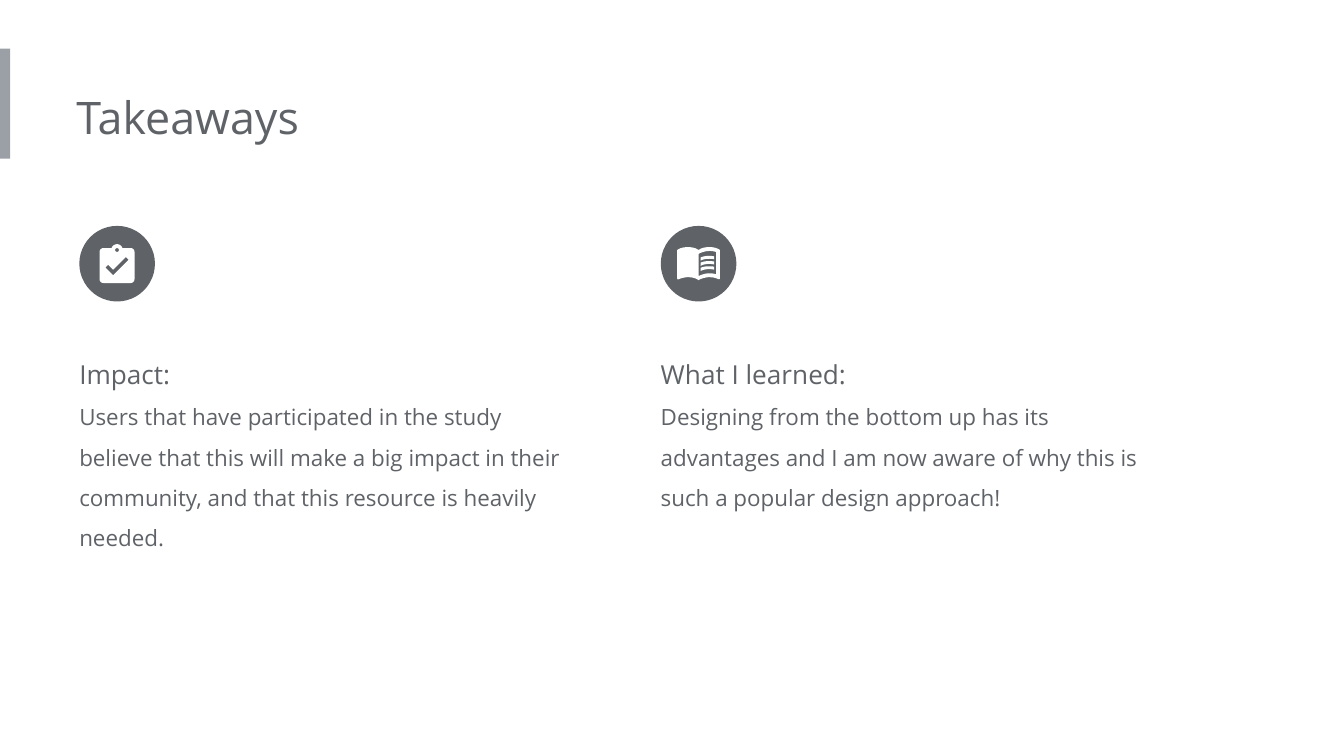
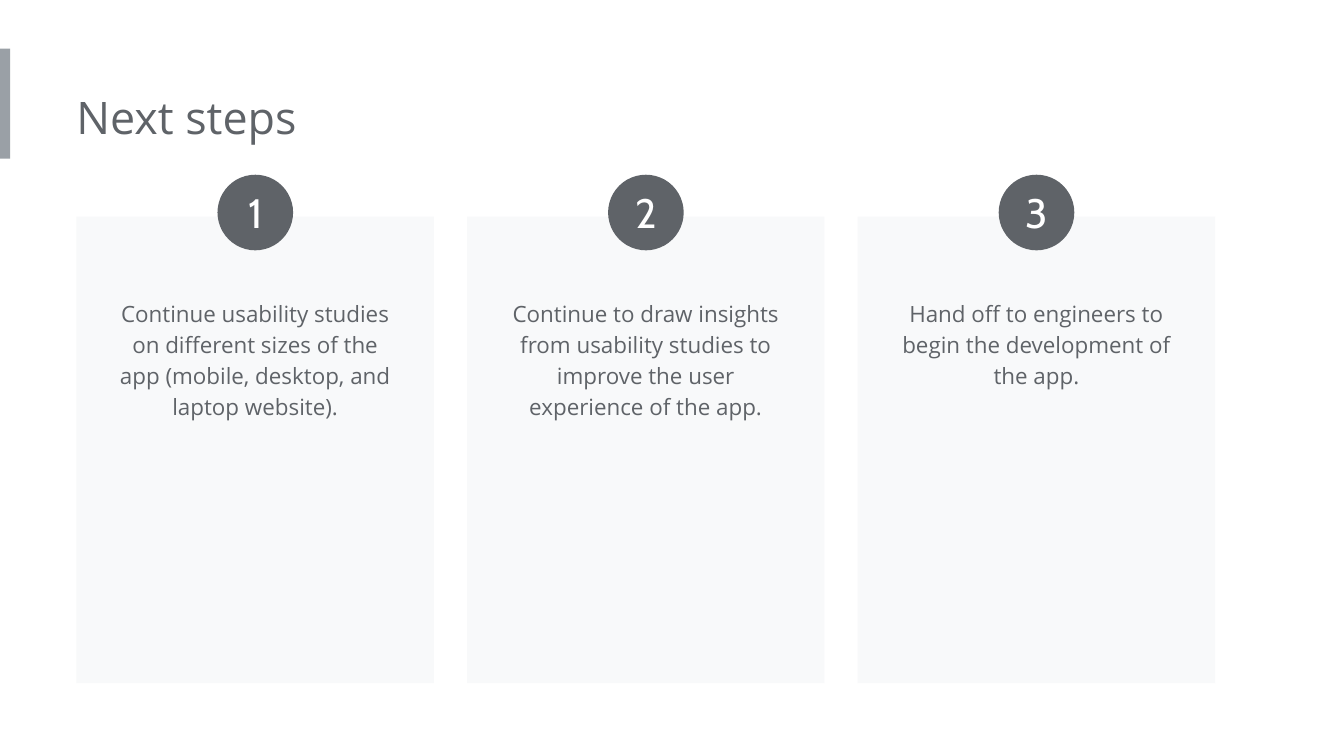
"""Build the takeaways and next steps slides."""
import collections
import dataclasses

import pptx
import pptx.dml.color
import pptx.enum.shapes
import pptx.enum.text
import pptx.util

Pt = pptx.util.Pt
SHAPES = pptx.enum.shapes.MSO_SHAPE
ALIGN = pptx.enum.text.PP_ALIGN
Box = collections.namedtuple("Box", "left top width height")


@dataclasses.dataclass(frozen=True)
class Theme:
    """Hold the colours, fonts and sizes of the deck."""
    ink: str = "5F6368"
    accent: str = "9AA0A6"
    panel: str = "F8F9FA"
    white: str = "FFFFFF"
    text_font: str = "Open Sans"
    number_font: str = "Cabin"
    title_size: float = 24
    number_size: float = 22
    heading_size: float = 14
    body_size: float = 12
    inset: float = 7.2
    disc: float = 40.5
    icon_unit: float = 1.04


THEME = Theme()
PAGE = Box(0, 0, 720, 405)
ACCENT = Box(0, 26, 5.5, 59)
TITLE = Box(41, 41, 388, 44)
COLUMNS = Box(42.5, 121, 583, 190)
COLUMN_WIDTH = 271.5
CARDS = Box(41, 116, 610, 250)
CARD_WIDTH = 191.5

TAKEAWAYS = [
    ("clipboard", "Impact:",
     "Users that have participated in the study believe that this will make a big "
     "impact in their community, and that this resource is heavily needed."),
    ("book", "What I learned:",
     "Designing from the bottom up has its advantages and I am now aware of why "
     "this is such a popular design approach!"),
]
STEPS = [
    "Continue usability studies on different sizes of the app (mobile, desktop, "
    "and laptop website).",
    "Continue to draw insights from usability studies to improve the user "
    "experience of the app.",
    "Hand off to engineers to begin the development of the app.",
]

CLIPBOARD = [
    [(19, 3), (14.82, 3), (14.4, 1.84, 13.3, 1, 12, 1),
     (10.7, 1, 9.6, 1.84, 9.18, 3), (5, 3), (3.9, 3, 3, 3.9, 3, 5), (3, 19),
     (3, 20.1, 3.9, 21, 5, 21), (19, 21), (20.1, 21, 21, 20.1, 21, 19),
     (21, 5), (21, 3.9, 20.1, 3, 19, 3)],
    [(12, 3), (12.55, 3, 13, 3.45, 13, 4), (13, 4.55, 12.55, 5, 12, 5),
     (11.45, 5, 11, 4.55, 11, 4), (11, 3.45, 11.45, 3, 12, 3)],
    [(10, 17), (6, 13), (7.41, 11.59), (10, 14.17), (16.59, 7.58), (18, 9)],
]
BOOK = [
    [(21, 5), (19.89, 4.65, 18.67, 4.5, 17.5, 4.5),
     (15.55, 4.5, 13.45, 4.9, 12, 6), (10.55, 4.9, 8.45, 4.5, 6.5, 4.5),
     (4.55, 4.5, 2.45, 4.9, 1, 6), (1, 20.65),
     (1, 20.9, 1.25, 21.15, 1.5, 21.15), (3.1, 20.45, 5.05, 20, 6.5, 20),
     (8.45, 20, 10.55, 20.4, 12, 21.5), (13.35, 20.65, 15.8, 20, 17.5, 20),
     (19.15, 20, 20.85, 20.3, 22.25, 21.05), (22.75, 21.1, 23, 20.85, 23, 20.6),
     (23, 6), (22.4, 5.55, 21.75, 5.25, 21, 5)],
    [(21, 18.5), (19.9, 18.15, 18.7, 18, 17.5, 18),
     (15.8, 18, 13.35, 18.65, 12, 19.5), (12, 8),
     (13.35, 7.15, 15.8, 6.5, 17.5, 6.5), (18.7, 6.5, 19.9, 6.65, 21, 7)],
]
BOOK_LINE = [
    (17.5, 10.5), (18.38, 10.5, 19.23, 10.59, 20, 10.76), (20, 9.24),
    (19.21, 9.09, 18.36, 9, 17.5, 9), (15.8, 9, 14.26, 9.29, 13, 9.83),
    (13, 11.49), (14.13, 10.85, 15.7, 10.5, 17.5, 10.5)]
BOOK_LINE_STEP = 2.67
ICONS = {
    "clipboard": ([CLIPBOARD], 11),
    "book": ([BOOK] + [[[tuple(value + row * BOOK_LINE_STEP * (place % 2)
                               for place, value in enumerate(node))
                         for node in BOOK_LINE]] for row in range(3)], 13),
}


def color(value):
    """Turn a hex value into a colour."""
    return pptx.dml.color.RGBColor.from_string(value)


def apply(target, formats):
    """Set every attribute named in formats."""
    for name, value in formats.items():
        setattr(target, name, value)


def paint(shape, fill):
    """Give a shape a plain fill without line or shadow."""
    shape.fill.solid()
    shape.fill.fore_color.rgb = color(fill)
    shape.line.fill.background()
    shape.shadow.inherit = False


def add_block(page, kind, box, fill):
    """Draw a filled preset shape in the box."""
    shape = page.shapes.add_shape(kind, *map(Pt, box))
    paint(shape, fill)
    return shape


def write_para(para, text, size, font=THEME.text_font, ink=THEME.ink, **formats):
    """Write one run of styled text in a paragraph."""
    apply(para, formats)
    span = para.add_run()
    span.text = text
    apply(span.font, {"name": font, "size": Pt(size)})
    span.font.color.rgb = color(ink)


def add_text(page, box, lines, left_inset=0, **formats):
    """Place a text box holding (text, size) lines."""
    frame = page.shapes.add_textbox(*map(Pt, box)).text_frame
    inset = Pt(THEME.inset)
    apply(frame, {"word_wrap": True, "margin_left": Pt(left_inset),
                  "margin_top": inset, "margin_right": inset, "margin_bottom": inset,
                  "auto_size": pptx.enum.text.MSO_AUTO_SIZE.SHAPE_TO_FIT_TEXT})
    for index, (text, size) in enumerate(lines):
        para = frame.add_paragraph() if index else frame.paragraphs[0]
        write_para(para, text, size, **formats)


def trace(nodes, steps=6):
    """Turn line and cubic curve nodes into points in hundredths."""
    points = [nodes[0]]
    for node in nodes[1:]:
        if len(node) == 2:
            points.append(node)
            continue
        corners = [points[-1], node[:2], node[2:4], node[4:]]
        for step in range(1, steps + 1):
            t = step / steps
            weights = ((1 - t) ** 3, 3 * t * (1 - t) ** 2, 3 * t * t * (1 - t), t ** 3)
            points.append(tuple(sum(weight * corner[axis]
                                    for weight, corner in zip(weights, corners))
                                for axis in (0, 1)))
    return [(x * 100, y * 100) for x, y in points]


def add_icon(page, box, name):
    """Draw a white icon centred on a dark disc."""
    add_block(page, SHAPES.OVAL, box, THEME.ink)
    parts, middle = ICONS[name]
    left = box.left + box.width / 2 - 12 * THEME.icon_unit
    top = box.top + box.height / 2 - middle * THEME.icon_unit
    for outlines in parts:
        contours = [trace(nodes) for nodes in outlines]
        builder = page.shapes.build_freeform(
            *contours[0][0], scale=Pt(THEME.icon_unit) / 100)
        for index, points in enumerate(contours):
            if index:
                builder.move_to(*points[0])
            builder.add_line_segments(points[1:], close=True)
        paint(builder.convert_to_shape(Pt(left), Pt(top)), THEME.white)


def add_badge(page, box, number):
    """Draw a numbered disc."""
    frame = add_block(page, SHAPES.OVAL, box, THEME.ink).text_frame
    apply(frame, {"margin_left": 0, "margin_top": 0, "margin_right": 0,
                  "margin_bottom": 0,
                  "vertical_anchor": pptx.enum.text.MSO_ANCHOR.MIDDLE})
    write_para(frame.paragraphs[0], str(number), THEME.number_size,
               THEME.number_font, THEME.white, alignment=ALIGN.CENTER)


def spread(box, width, count):
    """Split a box into equal columns with equal gaps."""
    pitch = (box.width - width) / (count - 1)
    return [Box(box.left + index * pitch, box.top, width, box.height)
            for index in range(count)]


def add_page(deck, title):
    """Add a page with the accent bar and title."""
    page = deck.slides.add_slide(deck.slide_layouts[6])
    page.background.fill.solid()
    page.background.fill.fore_color.rgb = color(THEME.white)
    add_block(page, SHAPES.RECTANGLE, ACCENT, THEME.accent)
    add_text(page, TITLE, [(title, THEME.title_size)])
    return page


def add_takeaway(page, box, icon, heading, body):
    """Place an icon above a heading and its text."""
    add_icon(page, Box(box.left, box.top, THEME.disc, THEME.disc), icon)
    add_text(page, Box(box.left, box.top + 55.5, box.width, box.height - 62.5),
             [(heading, THEME.heading_size), (body, THEME.body_size)],
             line_spacing=1.5)


def add_step(page, box, number, body):
    """Place a card with a numbered disc on its top edge."""
    add_block(page, SHAPES.RECTANGLE, box, THEME.panel)
    add_text(page, Box(box.left + 15, box.top + 35.5, box.width - 30, 81),
             [(body, THEME.body_size)], THEME.inset,
             line_spacing=1.15, alignment=ALIGN.CENTER)
    add_badge(page, Box(box.left + (box.width - THEME.disc) / 2, box.top - 22.4,
                        THEME.disc, THEME.disc), number)


def build_takeaways(deck):
    """Build the takeaways page."""
    page = add_page(deck, "Takeaways")
    for box, takeaway in zip(spread(COLUMNS, COLUMN_WIDTH, len(TAKEAWAYS)), TAKEAWAYS):
        add_takeaway(page, box, *takeaway)


def build_steps(deck):
    """Build the next steps page."""
    page = add_page(deck, "Next steps")
    boxes = spread(CARDS, CARD_WIDTH, len(STEPS))
    for number, (box, body) in enumerate(zip(boxes, STEPS), 1):
        add_step(page, box, number, body)


def main():
    """Build and save the deck."""
    deck = pptx.Presentation()
    apply(deck, {"slide_width": Pt(PAGE.width), "slide_height": Pt(PAGE.height)})
    build_takeaways(deck)
    build_steps(deck)
    deck.save("out.pptx")


if __name__ == "__main__":
    main()
